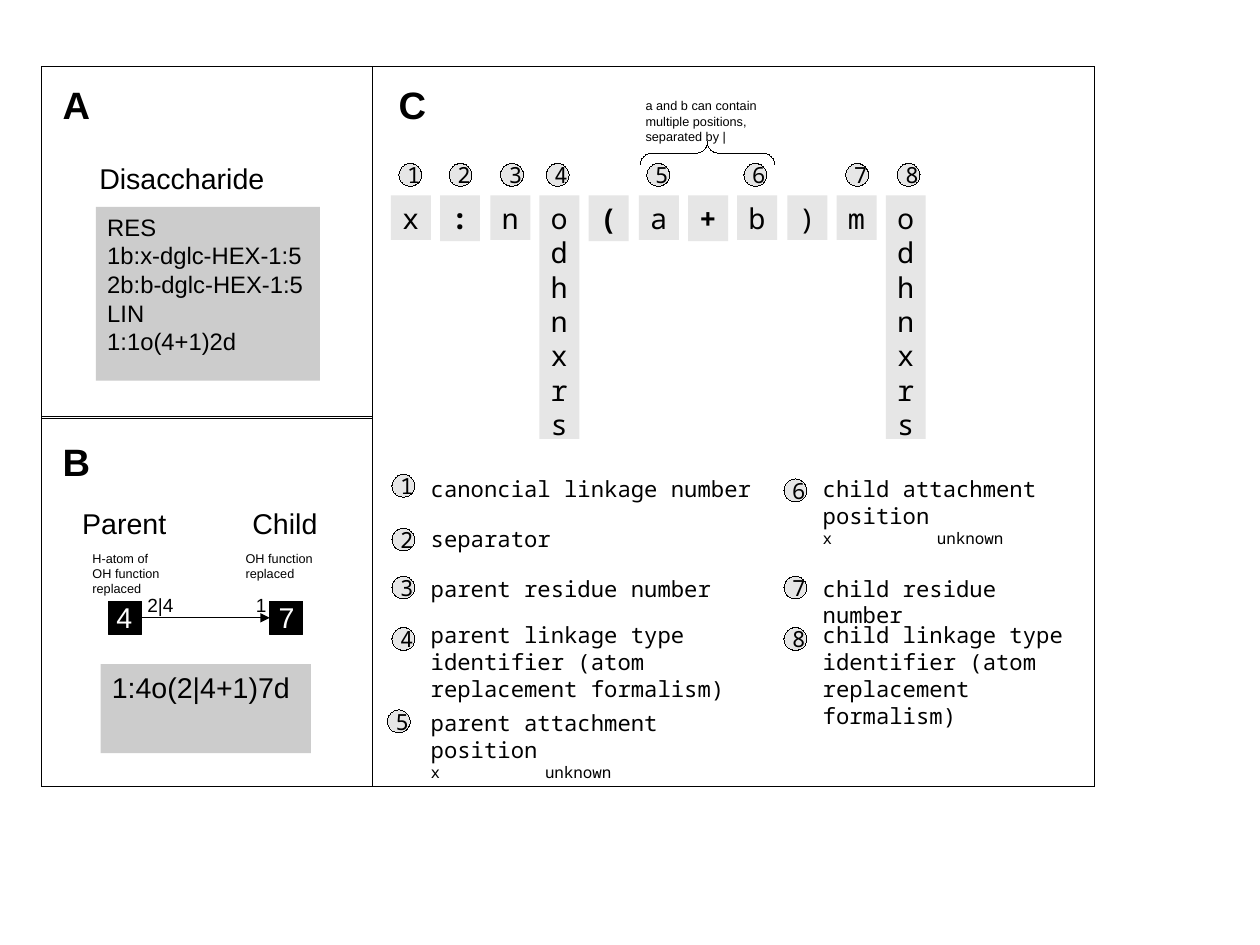
from lxml import etree
from pptx import Presentation
from pptx import util as u
from pptx.dml.color import RGBColor
from pptx.enum import shapes, text
from pptx.oxml.ns import qn

PX = 9144
SLIDE_W, SLIDE_H = 10080625, 7559675
BLACK = RGBColor(0x00, 0x00, 0x00)
WHITE = RGBColor(0xFF, 0xFF, 0xFF)
GREY = RGBColor(0xCC, 0xCC, 0xCC)
PALE = RGBColor(0xE6, 0xE6, 0xE6)
SANS = "Arial"
MONO = "Noto Sans Mono"
RECT = shapes.MSO_SHAPE.RECTANGLE
OVAL = shapes.MSO_SHAPE.OVAL
BRACE = shapes.MSO_SHAPE.RIGHT_BRACE
TYPES = "o\nd\nh\nn\nx\nr\ns"
CELL_STEP = 130 / 3

CELLS = [
    ("x", False), (":", True), ("n", False), (TYPES, False), ("(", True), ("a", False),
    ("+", True), ("b", False), (")", False), ("m", False), (TYPES, False),
]
MARKERS = [23, 67, 112, 152, 240, 325, 414, 459]
LEGEND_LEFT = [
    (1, 17, 357, 353, 302, 33, "canoncial linkage number"),
    (2, 17, 404, 397, 302, 33, "separator"),
    (3, 17, 446, 440, 302, 33, "parent residue number"),
    (4, 17, 491, 481, 302, 78, "parent linkage type identifier (atom replacement formalism)"),
    (5, 13, 563, 558, 302, 72, "parent attachment\nposition\nx \tunknown"),
]
LEGEND_RIGHT = [
    (6, 360, 361, 353, 244, 72, "child attachment\nposition\nx \tunknown"),
    (7, 360, 446, 440, 253, 56, "child residue number"),
    (8, 360, 491, 481, 247, 111, "child linkage type\nidentifier (atom\nreplacement\nformalism)"),
]


def write(sp, content, size=18, font=SANS, color=BLACK, bold=False, note=10,
          align=text.PP_ALIGN.LEFT, anchor=text.MSO_ANCHOR.TOP, wrap=False, grow=True):
    tf = sp.text_frame
    tf.word_wrap = wrap
    tf.vertical_anchor = anchor
    if grow:
        tf.auto_size = text.MSO_AUTO_SIZE.SHAPE_TO_FIT_TEXT
    for i, line in enumerate(content.split("\n")):
        p = tf.add_paragraph() if i else tf.paragraphs[0]
        p.alignment = align
        if "\t" in line:
            tabs = etree.SubElement(p._p.get_or_add_pPr(), qn("a:tabLst"))
            etree.SubElement(tabs, qn("a:tab"), pos=str(100 * PX), algn="l")
        r = p.add_run()
        r.text = line
        r.font.size = u.Pt(note if "\t" in line else size)
        r.font.name = font
        r.font.bold = bold
        r.font.color.rgb = color


def label(s, x, y, w, h, content, **fmt):
    write(s.shapes.add_textbox(x * PX, y * PX, w * PX, h * PX), content, **fmt)


def shape(s, kind, x, y, w, h, fill=None, line=None):
    sp = s.shapes.add_shape(kind, x * PX, y * PX, w * PX, h * PX)
    sp.shadow.inherit = False
    if fill is None:
        sp.fill.background()
    else:
        sp.fill.solid()
        sp.fill.fore_color.rgb = fill
    if line is None:
        sp.line.fill.background()
    else:
        sp.line.color.rgb = BLACK
        sp.line._get_or_add_ln().set("w", str(int(u.Pt(line))))
    return sp


def marker(s, x, y, number):
    write(shape(s, OVAL, x, y, 20, 20, PALE, 0), str(number), size=14, font=MONO,
          align=text.PP_ALIGN.CENTER, anchor=text.MSO_ANCHOR.MIDDLE, wrap=True, grow=False)


def arrow(s, start, end):
    c = s.shapes.add_connector(shapes.MSO_CONNECTOR.STRAIGHT, 0, 0, 0, 0)
    c.begin_connect(start, 3)
    c.end_connect(end, 1)
    c.line.color.rgb = BLACK
    c.line.width = u.Pt(0.75)
    etree.SubElement(c.line._get_or_add_ln(), qn("a:tailEnd"), type="triangle")
    etree.SubElement(c._element.spPr, qn("a:effectLst"))


def frame(s, x, y, w, h, letter, dx, dy):
    shape(s, RECT, x, y, w, h, line=0)
    label(s, x + dx, y + dy, 45, 55, letter, size=24, bold=True)


def disaccharide_panel(s, x, y, w, h):
    frame(s, x, y, w, h, "A", 9, 8)
    label(s, x + 41, y + 78, 181, 44, "Disaccharide")
    code = shape(s, RECT, x + 48, y + 123, 196, 152, GREY)
    write(code, "RES\n1b:x-dglc-HEX-1:5\n2b:b-dglc-HEX-1:5\nLIN\n1:1o(4+1)2d", size=15)


def linkage_panel(s, x, y, w, h):
    frame(s, x, y, w, h, "B", 9, 15)
    label(s, x + 26, y + 74, 99, 44, "Parent")
    label(s, x + 175, y + 74, 82, 44, "Child")
    label(s, x + 35, y + 113, 88, 56, "H-atom of\nOH function\nreplaced", size=8)
    label(s, x + 169, y + 113, 88, 41, "OH function\nreplaced", size=8)
    parent, child = [shape(s, RECT, x + dx, y + 162, 29, 29, BLACK, 0.75) for dx in (59, 200)]
    arrow(s, parent, child)
    label(s, x + 56, y + 156, 34, 44, "4", color=WHITE)
    label(s, x + 198, y + 156, 34, 44, "7", color=WHITE)
    label(s, x + 83, y + 150, 48, 33, "2|4", size=12)
    label(s, x + 178, y + 150, 29, 33, "1", size=12)
    write(shape(s, RECT, x + 52, y + 217, 184, 78, GREY), "1:4o(2|4+1)7d", wrap=True)


def legend(s, x, y, text_x, entries):
    for number, dx, marker_y, text_y, w, h, content in entries:
        marker(s, x + dx, y + marker_y, number)
        label(s, x + text_x, y + text_y, w, h, content, size=14, font=MONO, wrap=True)


def syntax_panel(s, x, y, w, h):
    frame(s, x, y, w, h, "C", 13, 8)
    for i, (content, bold) in enumerate(CELLS):
        height = 213 if content == TYPES else 40 if bold else 39
        cell = shape(s, RECT, x + 16 + round(i * CELL_STEP), y + 113, 35, height, PALE)
        write(cell, content, font=MONO, bold=bold)
    for number, dx in enumerate(MARKERS, 1):
        marker(s, x + dx, y + 85, number)
    brace = shape(s, BRACE, x + 283, y + 17, 20, 118, line=0)
    brace.adjustments[0] = 0.5
    brace.rotation = 270
    label(s, x + 229, y + 23, 120, 71,
          "a and b can contain\nmultiple positions,\nseparated by |", size=8, wrap=True)
    legend(s, x, y, 41, LEGEND_LEFT)
    legend(s, x, y, 384, LEGEND_RIGHT)


def main():
    prs = Presentation()
    prs.slide_width = SLIDE_W
    prs.slide_height = SLIDE_H
    s = prs.slides.add_slide(prs.slide_layouts[6])
    disaccharide_panel(s, 36, 58, 290, 308)
    linkage_panel(s, 36, 364, 290, 324)
    syntax_panel(s, 326, 58, 632, 630)
    prs.save("out.pptx")


if __name__ == "__main__":
    main()
